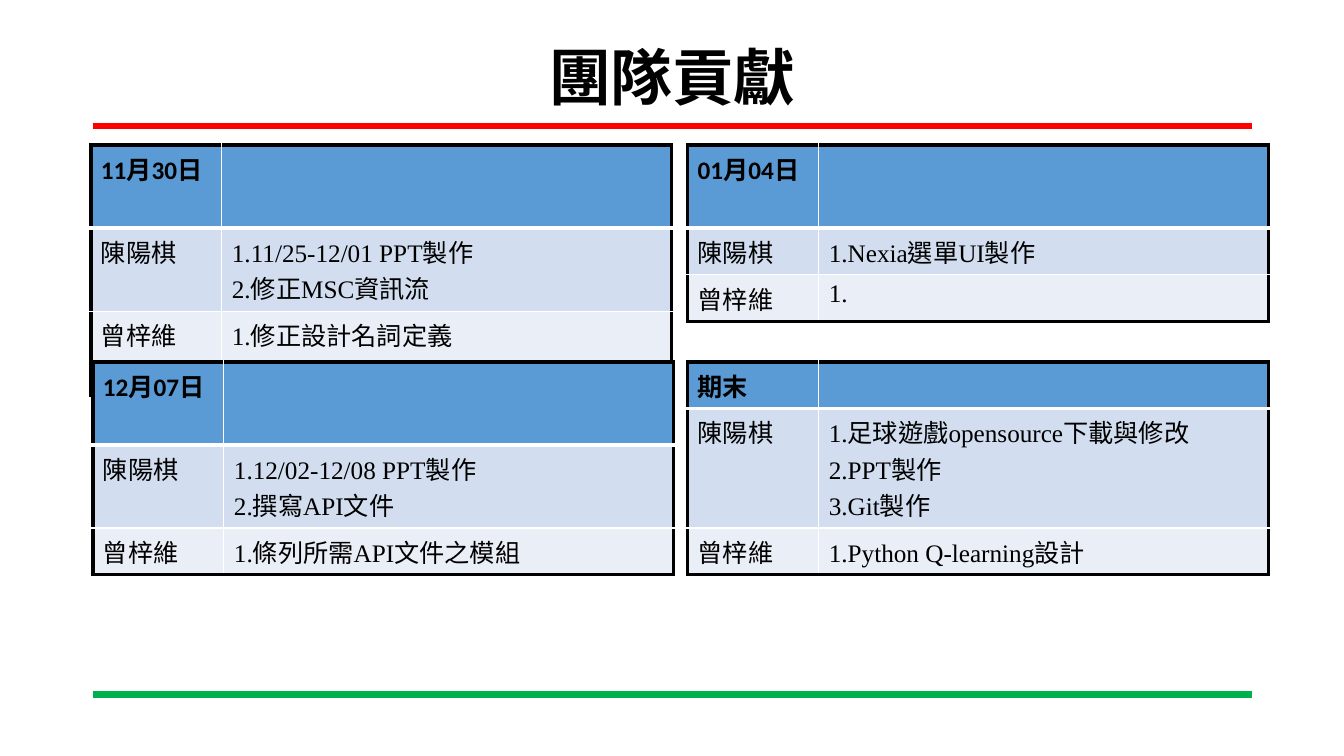
"""Build the team contribution slide with four dated task tables."""
from dataclasses import dataclass

from lxml import etree
from pptx import Presentation
from pptx.dml.color import RGBColor
from pptx.enum.lang import MSO_LANGUAGE_ID
from pptx.enum.shapes import MSO_CONNECTOR
from pptx.enum.text import MSO_ANCHOR, PP_ALIGN
from pptx.oxml.ns import qn
from pptx.util import Inches, Pt

STRAIGHT = MSO_CONNECTOR.STRAIGHT
MIDDLE = MSO_ANCHOR.MIDDLE
LEFT, CENTER = PP_ALIGN.LEFT, PP_ALIGN.CENTER
CHINESE = MSO_LANGUAGE_ID.TRADITIONAL_CHINESE

BLACK = RGBColor(0x00, 0x00, 0x00)
WHITE = RGBColor(0xFF, 0xFF, 0xFF)
RED = RGBColor(0xFF, 0x00, 0x00)
GREEN = RGBColor(0x00, 0xB0, 0x50)
ROW_FILLS = (
    RGBColor(0x5B, 0x9B, 0xD5),
    RGBColor(0xD2, 0xDE, 0xEF),
    RGBColor(0xEA, 0xEF, 0xF7),
)

HEADING_FONT = "Calibri"
BODY_FONT = "Times New Roman"
MEMBERS = ("陳陽棋", "曾梓維")
COLUMN_WIDTHS = (1.3, 4.46)
ROW_HEIGHT = 0.41
RULE_LEFT, RULE_RIGHT = 0.92, 12.42
THICK, THIN = 3, 1


@dataclass(frozen=True)
class Rule:
    """A coloured line across the slide."""
    top: float
    color: RGBColor


@dataclass(frozen=True)
class Report:
    """One date with the tasks of each member."""
    left: float
    top: float
    height: float
    heading: str
    tasks: tuple[tuple[str, ...], ...]
    last_row_height: float = ROW_HEIGHT


RULES = (Rule(1.25, RED), Rule(6.89, GREEN))
REPORTS = (
    Report(0.9, 1.44, 1.81, "11月30日", (
        ("1.11/25-12/01 PPT製作", "2.修正MSC資訊流"),
        ("1.修正設計名詞定義",)), last_row_height=0.83),
    Report(0.92, 3.59, 1.51, "12月07日", (
        ("1.12/02-12/08 PPT製作", "2.撰寫API文件"),
        ("1.條列所需API文件之模組",))),
    Report(6.82, 1.44, 1.22, "01月04日", (
        ("1.Nexia選單UI製作",),
        ("1.",))),
    Report(6.82, 3.59, 1.82, "期末", (
        ("1.足球遊戲opensource下載與修改", "2.PPT製作", "3.Git製作"),
        ("1.Python Q-learning設計",))),
)


def write_text(frame, lines: tuple[str, ...], *, font: str = BODY_FONT,
               size: float = 18, bold: bool = False, align=LEFT,
               spacing: float = 1.0) -> None:
    """Fill a text frame with one paragraph per line."""
    for index, line in enumerate(lines):
        para = frame.paragraphs[0] if index == 0 else frame.add_paragraph()
        para.alignment = align
        para.line_spacing = spacing
        span = para.add_run()
        span.text = line
        span.font.name = font
        span.font.size = Pt(size)
        span.font.bold = bold
        span.font.color.rgb = BLACK
        span.font.language_id = CHINESE


def add_border(cell, side: str, color: RGBColor, width: float) -> None:
    """Append one border line to a cell."""
    properties = cell._tc.get_or_add_tcPr()
    border = etree.SubElement(properties, qn(f"a:ln{side}"), w=str(Pt(width)))
    fill = etree.SubElement(border, qn("a:solidFill"))
    etree.SubElement(fill, qn("a:srgbClr"), val=str(color))


def style_cell(cell, row: int, column: int) -> None:
    """Give a cell its black outer edges, white inner edges and row fill."""
    last_row = len(MEMBERS)
    outer = {"L": column == 0, "R": column == 1,
             "T": row == 0, "B": row == last_row}
    for side, is_outer in outer.items():
        under_heading = side == "B" and row == 0
        add_border(cell, side, BLACK if is_outer else WHITE,
                   THICK if is_outer or under_heading else THIN)
    cell.fill.solid()
    cell.fill.fore_color.rgb = ROW_FILLS[row]


def add_report(page, report: Report) -> None:
    """Draw the table of one report."""
    rows = 1 + len(MEMBERS)
    holder = page.shapes.add_table(
        rows, len(COLUMN_WIDTHS), Inches(report.left), Inches(report.top),
        Inches(sum(COLUMN_WIDTHS)), Inches(rows * ROW_HEIGHT))
    table = holder.table
    for column, width in zip(table.columns, COLUMN_WIDTHS):
        column.width = Inches(width)
    table.rows[rows - 1].height = Inches(report.last_row_height)
    holder.height = Inches(report.height)
    for row in range(rows):
        for column in range(len(COLUMN_WIDTHS)):
            style_cell(table.cell(row, column), row, column)
    write_text(table.cell(0, 0).text_frame, (report.heading,),
               font=HEADING_FONT, bold=True)
    for row, (member, tasks) in enumerate(zip(MEMBERS, report.tasks), 1):
        write_text(table.cell(row, 0).text_frame, (member,))
        write_text(table.cell(row, 1).text_frame, tasks)


def add_rule(page, rule: Rule) -> None:
    """Draw one horizontal rule."""
    line = page.shapes.add_connector(
        STRAIGHT, Inches(RULE_LEFT), Inches(rule.top),
        Inches(RULE_RIGHT), Inches(rule.top))
    line.line.color.rgb = rule.color
    line.line.width = Pt(4.5)
    etree.SubElement(line._element.spPr, qn("a:effectLst"))


def add_title(page, text: str) -> None:
    """Place and fill the title placeholder."""
    title = page.shapes.title
    title.left, title.top = Inches(0.92), Inches(0.4)
    title.width, title.height = Inches(11.5), Inches(0.79)
    title.text_frame.vertical_anchor = MIDDLE
    write_text(title.text_frame, (text,), size=44, bold=True,
               align=CENTER, spacing=0.9)


def main() -> None:
    """Build and save the deck."""
    deck = Presentation()
    deck.slide_width, deck.slide_height = Inches(13.33), Inches(7.5)
    page = deck.slides.add_slide(deck.slide_layouts[5])
    for rule in RULES:
        add_rule(page, rule)
    add_title(page, "團隊貢獻")
    for report in REPORTS:
        add_report(page, report)
    deck.save("out.pptx")


if __name__ == "__main__":
    main()
